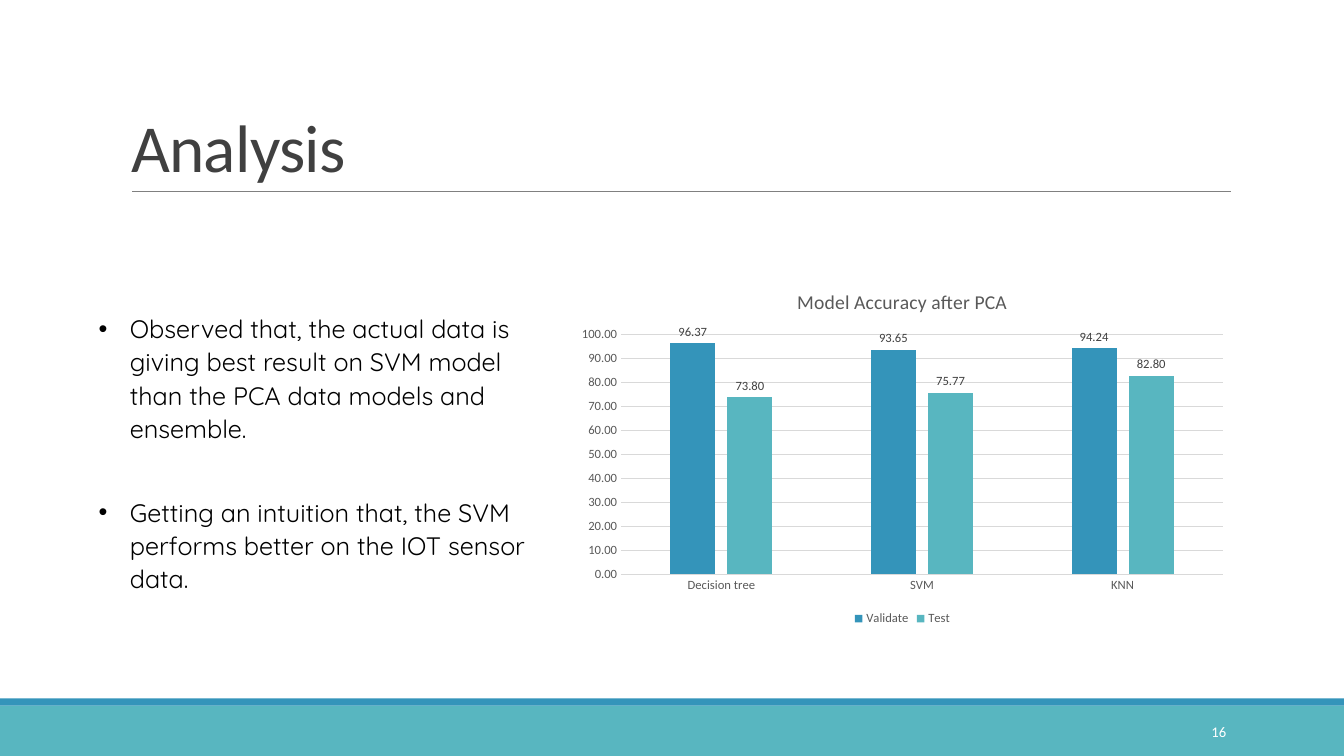
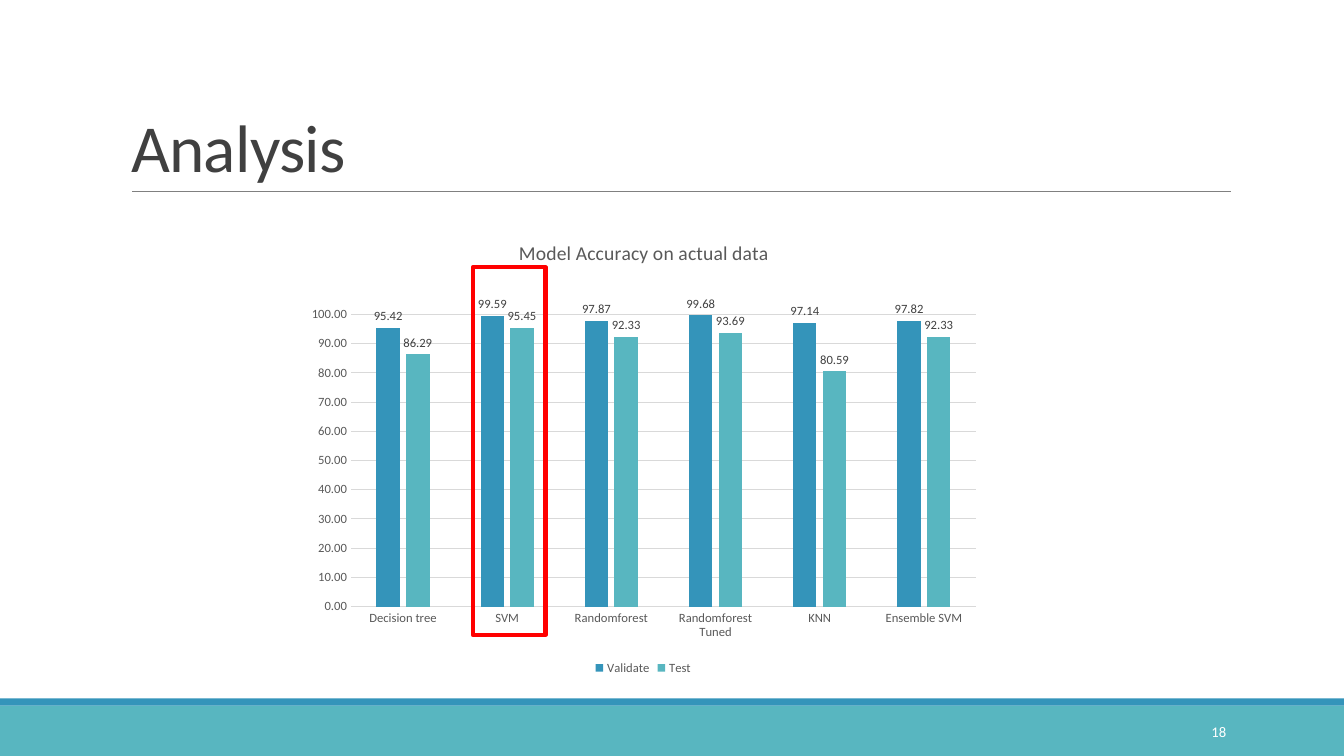
from dataclasses import dataclass

import pptx
import pptx.chart.data
import pptx.dml.color
import pptx.enum.chart
import pptx.enum.shapes
import pptx.enum.text
import pptx.oxml
import pptx.oxml.ns
import pptx.util

Inches = pptx.util.Inches
Pt = pptx.util.Pt
qn = pptx.oxml.ns.qn
PP = pptx.enum.text.PP_ALIGN
ANCHOR = pptx.enum.text.MSO_ANCHOR
SHAPE = pptx.enum.shapes.MSO_SHAPE


@dataclass(frozen=True)
class Theme:
    blue: str = "3494BA"
    teal: str = "58B6C0"
    rule: str = "808080"
    title: str = "404040"
    text: str = "000000"
    white: str = "FFFFFF"
    axis: str = "595959"
    grid: str = "D9D9D9"
    label: str = "404040"
    accent: str = "FF0000"
    font: str = "Calibri"
    body_font: str = "Quicksand"
    title_size: float = 48
    body_size: float = 18
    chart_title_size: float = 14
    number_size: float = 10.5
    chart_size: float = 9


T = Theme()
WIDTH, HEIGHT = 13.33, 7.5

SLIDES = [
    {
        "title": "Analysis",
        "number": "16",
        "bullets": [
            "Observed that, the actual data is giving best result on SVM model "
            "than the PCA data models and ensemble.",
            "Getting an intuition that, the SVM performs better on the IOT sensor data.",
        ],
        "chart": {
            "title": "Model Accuracy after PCA",
            "box": (5.64, 2.71, 6.62, 3.54),
            "plot": (6.16, 3.32, 5.97, 2.38),
            "title_at": (7.87, 2.82),
            "categories": ["Decision tree", "SVM", "KNN"],
            "Validate": [96.37, 93.65, 94.24],
            "Test": [73.80, 75.77, 82.80],
        },
    },
    {
        "title": "Analysis",
        "number": "18",
        "chart": {
            "title": "Model Accuracy on actual data",
            "box": (2.95, 2.23, 6.86, 4.51),
            "plot": (3.48, 3.12, 6.2, 2.9),
            "title_at": (5.11, 2.34),
            "categories": ["Decision tree", "SVM", "Randomforest",
                           "Randomforest Tuned", "KNN", "Ensemble SVM"],
            "Validate": [95.42, 99.59, 97.87, 99.68, 97.14, 97.82],
            "Test": [86.29, 95.45, 92.33, 93.69, 80.59, 92.33],
        },
        "highlight": (4.69, 2.65, 0.72, 3.65),
    },
]


def rgb(color):
    return pptx.dml.color.RGBColor.from_string(color)


def inches(box):
    return [Inches(v) for v in box]


def style(font, size, color, name=T.font):
    font.size, font.name, font.bold = Pt(size), name, False
    font.color.rgb = rgb(color)


def add_run(p, text, size, color, name=T.font):
    r = p.add_run()
    r.text = text
    style(r.font, size, color, name)
    return r


def add_rect(s, box, fill=None, line=None):
    sp = s.shapes.add_shape(SHAPE.RECTANGLE, *inches(box))
    sp.shadow.inherit = False
    if fill:
        sp.fill.solid()
        sp.fill.fore_color.rgb = rgb(fill)
    else:
        sp.fill.background()
    if line:
        sp.line.color.rgb = rgb(line)
        sp.line.width = Pt(3)
    else:
        sp.line.fill.background()


def add_textbox(s, box, anchor):
    tf = s.shapes.add_textbox(*inches(box)).text_frame
    tf.word_wrap = True
    tf.vertical_anchor = anchor
    return tf


def add_frame(s, title, number):
    add_rect(s, (0, 7, WIDTH, 0.5), T.teal)
    add_rect(s, (0, 6.93, WIDTH, 0.07), T.blue)
    rule = s.shapes.add_connector(pptx.enum.shapes.MSO_CONNECTOR.STRAIGHT,
                                  *inches((1.31, 1.9, 12.21, 1.9)))
    rule.line.color.rgb = rgb(T.rule)
    rule.line.width = Pt(0.5)
    rule._element.spPr.append(pptx.oxml.parse_xml(
        f'<a:effectLst {pptx.oxml.ns.nsdecls("a")}/>'))

    sp = s.shapes.title
    sp.left, sp.top, sp.width, sp.height = inches((1.2, 0.31, 11, 1.59))
    tf = sp.text_frame
    tf.vertical_anchor = ANCHOR.BOTTOM
    tf.auto_size = pptx.enum.text.MSO_AUTO_SIZE.NONE
    p = tf.paragraphs[0]
    p.alignment, p.line_spacing = PP.LEFT, 0.85
    r = add_run(p, title, T.title_size, T.title)
    r.font._element.set("spc", "-50")

    p = add_textbox(s, (10.83, 7.06, 1.43, 0.4), ANCHOR.MIDDLE).paragraphs[0]
    p.alignment = PP.RIGHT
    add_run(p, number, T.number_size, T.white)


def add_bullets(s, items):
    tf = add_textbox(s, (0.88, 3.03, 4.53, 2.91), ANCHOR.TOP)
    for i, text in enumerate(items):
        p = tf.add_paragraph() if i else tf.paragraphs[0]
        p.line_spacing, p.space_after = 1.1, Pt(6)
        p.space_before = Pt(30 if i else 0)
        pPr = p._p.get_or_add_pPr()
        pPr.set("marL", str(Inches(0.31)))
        pPr.set("indent", str(Inches(-0.31)))
        for xml in ('<a:buFont {} typeface="Arial"/>', '<a:buChar {} char="•"/>'):
            pPr.append(pptx.oxml.parse_xml(xml.format(pptx.oxml.ns.nsdecls("a"))))
        add_run(p, text, T.body_size, T.text, T.body_font)


def set_layout(element, chart_box, box, inner=False):
    left, top, width, height = chart_box
    parts = {"x": (box[0] - left) / width, "y": (box[1] - top) / height}
    if inner:
        parts.update(w=box[2] / width, h=box[3] / height)
    target = '<c:layoutTarget val="inner"/>' if inner else ""
    modes = "".join(f'<c:{k}Mode val="edge"/>' for k in "xy")
    values = "".join(f'<c:{k} val="{v:.4f}"/>' for k, v in parts.items())
    layout = pptx.oxml.parse_xml(
        f'<c:layout {pptx.oxml.ns.nsdecls("c")}><c:manualLayout>'
        f"{target}{modes}{values}</c:manualLayout></c:layout>")
    old = element.find(qn("c:layout"))
    if old is not None:
        element.replace(old, layout)
    elif element.find(qn("c:tx")) is not None:
        element.find(qn("c:tx")).addnext(layout)
    else:
        element.insert(0, layout)


def add_accuracy_chart(s, content):
    box = content["box"]
    data = pptx.chart.data.CategoryChartData(number_format="0.00")
    data.categories = content["categories"]
    colors = {"Validate": T.blue, "Test": T.teal}
    for name in colors:
        data.add_series(name, content[name])
    chart = s.shapes.add_chart(pptx.enum.chart.XL_CHART_TYPE.COLUMN_CLUSTERED,
                               *inches(box), data).chart
    style(chart.font, T.chart_size, T.axis)

    chart.has_title = True
    add_run(chart.chart_title.text_frame.paragraphs[0], content["title"],
            T.chart_title_size, T.axis)
    set_layout(chart.element.find(".//" + qn("c:title")), box, content["title_at"])
    set_layout(chart.element.find(".//" + qn("c:plotArea")), box, content["plot"], True)

    chart.has_legend = True
    chart.legend.position = pptx.enum.chart.XL_LEGEND_POSITION.BOTTOM
    chart.legend.include_in_layout = False
    style(chart.legend.font, T.chart_size, T.axis)

    for axis in (chart.category_axis, chart.value_axis):
        axis.major_tick_mark = axis.minor_tick_mark = pptx.enum.chart.XL_TICK_MARK.NONE
        style(axis.tick_labels.font, T.chart_size, T.axis)
    values = chart.value_axis
    values.minimum_scale, values.maximum_scale, values.major_unit = 0, 100, 10
    values.tick_labels.number_format = "0.00"
    values.tick_labels.number_format_is_linked = False
    values.format.line.fill.background()
    for line in (chart.category_axis.format.line, values.major_gridlines.format.line):
        line.color.rgb = rgb(T.grid)
        line.width = Pt(0.75)

    plot = chart.plots[0]
    plot.gap_width, plot.overlap, plot.vary_by_categories = 219, -27, False
    for series in plot.series:
        series.format.fill.solid()
        series.format.fill.fore_color.rgb = rgb(colors[series.name])
        labels = series.data_labels
        labels.show_value = True
        labels.position = pptx.enum.chart.XL_LABEL_POSITION.OUTSIDE_END
        labels.number_format = "0.00"
        labels.number_format_is_linked = False
        style(labels.font, T.chart_size, T.label)


def main():
    prs = pptx.Presentation()
    prs.slide_width, prs.slide_height = inches((WIDTH, HEIGHT))
    for content in SLIDES:
        s = prs.slides.add_slide(prs.slide_layouts[5])
        add_frame(s, content["title"], content["number"])
        if "bullets" in content:
            add_bullets(s, content["bullets"])
        add_accuracy_chart(s, content["chart"])
        if "highlight" in content:
            add_rect(s, content["highlight"], line=T.accent)
    prs.save("out.pptx")


if __name__ == "__main__":
    main()
